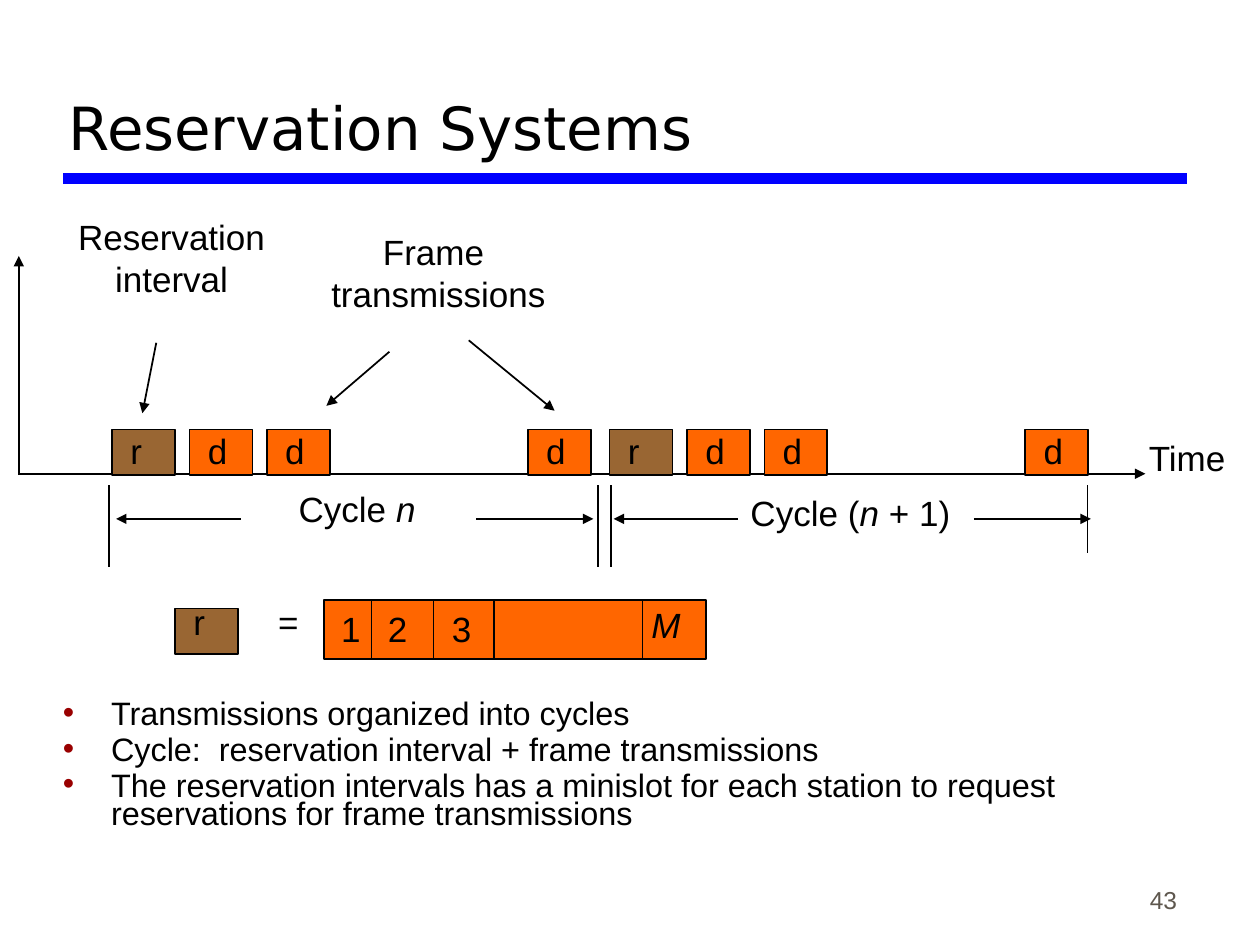
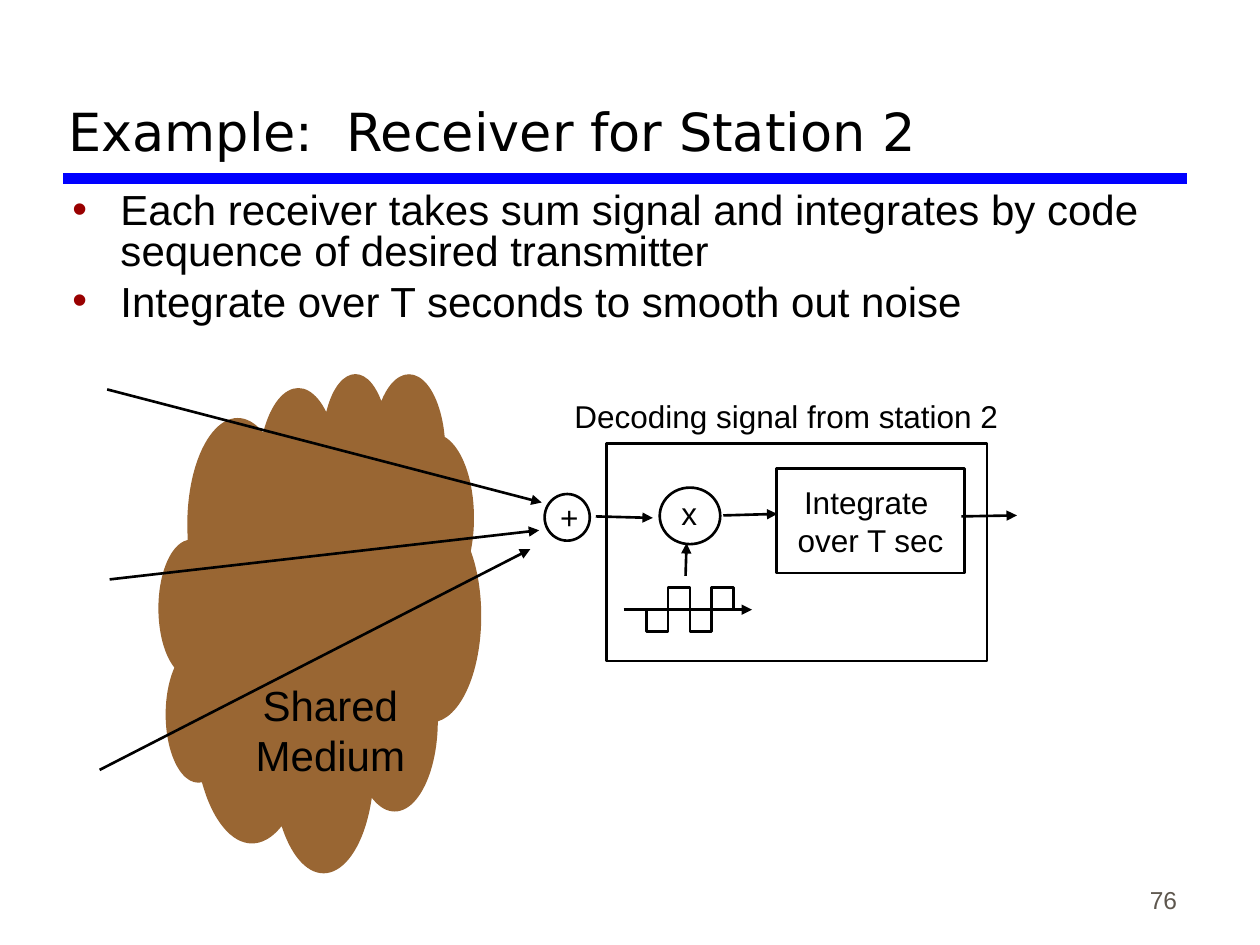
from dataclasses import dataclass

import lxml.etree
import pptx
import pptx.dml.color
import pptx.enum.shapes
import pptx.enum.text
import pptx.oxml.ns
import pptx.presentation
import pptx.slide
import pptx.text.text
import pptx.util

Cm = pptx.util.Cm
Pt = pptx.util.Pt
qn = pptx.oxml.ns.qn
Align = pptx.enum.text.PP_ALIGN
Anchor = pptx.enum.text.MSO_ANCHOR
Preset = pptx.enum.shapes.MSO_SHAPE

BLACK, WHITE, GREY = "000000", "FFFFFF", "5E574E"
BLUE, BROWN, ORANGE, BULLET_RED = "0000FF", "996633", "FF6600", "990000"
BODY_FONT, TITLE_FONT = "Arial", "DejaVu Sans"


@dataclass(frozen=True)
class Box:
    """Left, top, width and height in centimetres."""
    left: float
    top: float
    width: float
    height: float

    def lengths(self) -> tuple:
        return Cm(self.left), Cm(self.top), Cm(self.width), Cm(self.height)


@dataclass(frozen=True)
class Style:
    size: float = 20
    color: str = BLACK
    font: str = BODY_FONT
    align: Align = Align.LEFT
    anchor: Anchor = Anchor.TOP
    wrap: bool = False


@dataclass(frozen=True)
class Bullets:
    spacing: float
    before: float
    indent: float = 0.97


@dataclass(frozen=True)
class Line:
    """Start and end points in centimetres."""
    x1: float
    y1: float
    x2: float
    y2: float
    arrow: bool = True


LABEL = Style()
CENTERED = Style(align=Align.CENTER)
DIAGRAM_LABEL = Style(size=18, align=Align.CENTER)


def rgb(color: str) -> pptx.dml.color.RGBColor:
    return pptx.dml.color.RGBColor.from_string(color)


# Drawing functions

def set_bullet(paragraph: pptx.text.text._Paragraph, bullets: Bullets) -> None:
    properties = paragraph._p.get_or_add_pPr()
    properties.set("marL", str(Cm(bullets.indent)))
    properties.set("indent", str(-Cm(bullets.indent)))
    color = lxml.etree.SubElement(properties, qn("a:buClr"))
    lxml.etree.SubElement(color, qn("a:srgbClr"), val=BULLET_RED)
    lxml.etree.SubElement(properties, qn("a:buFont"), typeface=BODY_FONT)
    lxml.etree.SubElement(properties, qn("a:buChar"), char="•")
    paragraph.line_spacing = bullets.spacing


def write(frame: pptx.text.text.TextFrame, text: str, style: Style,
          bullets: Bullets | None = None) -> None:
    """Each line is a paragraph; asterisks enclose italic runs."""
    frame.word_wrap = style.wrap
    frame.vertical_anchor = style.anchor
    for number, line in enumerate(text.split("\n")):
        paragraph = frame.add_paragraph() if number else frame.paragraphs[0]
        paragraph.alignment = style.align
        if bullets:
            set_bullet(paragraph, bullets)
            if number:
                paragraph.space_before = Pt(bullets.before)
        for position, part in enumerate(line.split("*")):
            if not part:
                continue
            run = paragraph.add_run()
            run.text = part
            run.font.name = style.font
            run.font.size = Pt(style.size)
            run.font.italic = position % 2 == 1
            run.font.color.rgb = rgb(style.color)


def add_text(slide: pptx.slide.Slide, box: Box, text: str, style: Style = LABEL,
             bullets: Bullets | None = None) -> None:
    frame = slide.shapes.add_textbox(*box.lengths()).text_frame
    write(frame, text, style, bullets)
    if not style.wrap:
        frame.auto_size = pptx.enum.text.MSO_AUTO_SIZE.SHAPE_TO_FIT_TEXT


def add_shape(slide: pptx.slide.Slide, box: Box, preset: Preset = Preset.RECTANGLE,
              fill: str | None = None, outline: float = 1.5):
    shape = slide.shapes.add_shape(preset, *box.lengths())
    shape.shadow.inherit = False
    if fill:
        shape.fill.solid()
        shape.fill.fore_color.rgb = rgb(fill)
    else:
        shape.fill.background()
    if outline:
        shape.line.width = Pt(outline)
        shape.line.color.rgb = rgb(BLACK)
    else:
        shape.line.fill.background()
    return shape


def add_line(slide: pptx.slide.Slide, line: Line, width: float = 1,
             color: str = BLACK) -> None:
    connector = slide.shapes.add_connector(
        pptx.enum.shapes.MSO_CONNECTOR.STRAIGHT,
        Cm(line.x1), Cm(line.y1), Cm(line.x2), Cm(line.y2))
    connector.line.width = Pt(width)
    connector.line.color.rgb = rgb(color)
    properties = connector._element.spPr
    if line.arrow:
        lxml.etree.SubElement(properties.find(qn("a:ln")), qn("a:tailEnd"), type="triangle")
    lxml.etree.SubElement(properties, qn("a:effectLst"))


def start_slide(deck: pptx.presentation.Presentation, title: str, title_size: float,
                page: int) -> pptx.slide.Slide:
    """Blank slide with the blue rule, page number and title."""
    slide = deck.slides.add_slide(deck.slide_layouts[6])
    add_line(slide, Line(1.27, 3.6, 23.93, 3.6, arrow=False), 6, BLUE)
    add_text(slide, Box(18.7, 17.28, 5.28, 1.27), str(page),
             Style(14, GREY, align=Align.RIGHT, anchor=Anchor.BOTTOM, wrap=True))
    add_text(slide, Box(1.13, 0.42, 22.78, 2.97), title,
             Style(title_size, font=TITLE_FONT, anchor=Anchor.BOTTOM, wrap=True))
    return slide


# Slide 43: reservation systems

def add_slot(slide: pptx.slide.Slide, left: float, top: float, kind: str,
             label_rise: float = 0.13) -> None:
    fill, label_width = {"r": (BROWN, 0.74), "d": (ORANGE, 0.89)}[kind]
    add_shape(slide, Box(left, top, 1.27, 0.91), fill=fill, outline=1)
    add_text(slide, Box(left + 0.12, top - label_rise, label_width, 1.09), kind)


def build_reservation(deck: pptx.presentation.Presentation) -> None:
    slide = start_slide(deck, "Reservation Systems", 34, 43)

    # Axes
    add_line(slide, Line(0.41, 9.55, 23.09, 9.55))
    add_line(slide, Line(0.38, 9.58, 0.38, 5.16))
    add_text(slide, Box(22.91, 8.67, 2.2, 1.09), "Time")

    # Two cycles with the same slots and span arrows
    span_y = 10.46
    for cycle_start in (2.26, 12.29):
        for offset, kind in ((0, "r"), (1.56, "d"), (3.12, "d"), (8.38, "d")):
            add_slot(slide, cycle_start + offset, 8.66, kind)
        for tail, head in ((7.34, 9.7), (2.59, 0.08)):
            add_line(slide, Line(cycle_start + tail, span_y, cycle_start + head, span_y))
    add_text(slide, Box(5.77, 9.7, 3, 1.09), "Cycle *n*")
    add_text(slide, Box(14.88, 9.78, 4.8, 1.09), "Cycle (*n *+ 1)")
    for x, bottom in ((2.19, 11.43), (12.06, 11.43), (12.31, 11.43), (21.92, 11.15)):
        add_line(slide, Line(x, 9.78, x, bottom, arrow=False))

    # Callouts
    add_text(slide, Box(1.21, 4.22, 4.5, 1.93), "Reservation\ninterval", CENTERED)
    add_text(slide, Box(6.34, 4.52, 5, 1.93), "Frame \ntransmissions", CENTERED)
    for pointer in (Line(3.15, 6.91, 2.87, 8.33), Line(7.85, 7.09, 6.58, 8.18),
                    Line(9.45, 6.86, 11.18, 8.28)):
        add_line(slide, pointer)

    # Reservation interval split into minislots
    add_slot(slide, 3.53, 12.27, "r", label_rise=0.28)
    add_text(slide, Box(5.36, 11.99, 0.91, 1.09), "=")
    add_shape(slide, Box(6.53, 12.09, 7.7, 1.19), fill=ORANGE, outline=1)
    for x in (7.49, 8.74, 9.96, 12.95):
        add_line(slide, Line(x, 12.12, x, 13.28, arrow=False))
    for station, left in (("1", 6.63), ("2", 7.57), ("3", 8.86)):
        add_text(slide, Box(left, 12.13, 0.89, 1.09), station)
    add_text(slide, Box(12.88, 12.04, 1.09, 1.09), "*M*")

    add_text(slide, Box(1.02, 14.07, 23.01, 2.87),
             "Transmissions organized into cycles\n"
             "Cycle:  reservation interval + frame transmissions\n"
             "The reservation intervals has a minislot for each station to request "
             "reservations for frame transmissions",
             Style(18.5, wrap=True), Bullets(spacing=0.7, before=5))


# Slide 76: receiver for station 2

def build_receiver(deck: pptx.presentation.Presentation) -> None:
    slide = start_slide(deck, "Example:  Receiver for Station 2", 30, 76)
    add_text(slide, Box(1.21, 3.78, 22.86, 3.35),
             "Each receiver takes sum signal and integrates by code sequence "
             "of desired transmitter\n"
             "Integrate over T seconds to smooth out noise",
             Style(24, wrap=True), Bullets(spacing=0.8, before=6))

    # Shared medium
    cloud = add_shape(slide, Box(3.2, 7.51, 6.5, 10.06), Preset.CLOUD_CALLOUT, BROWN, 0)
    cloud.adjustments[0] = -0.12
    cloud.adjustments[1] = 0.05
    add_text(slide, Box(4.76, 13.57, 3.8, 2.29), "Shared\nMedium",
             Style(24, align=Align.CENTER))

    # Adder and multiplier
    add_shape(slide, Box(10.98, 9.96, 0.91, 0.94), Preset.OVAL)
    add_text(slide, Box(11.04, 9.91, 0.86, 1.02), "+", DIAGRAM_LABEL)
    add_shape(slide, Box(13.3, 9.83, 1.22, 1.14), Preset.OVAL)
    add_text(slide, Box(13.17, 9.83, 1.45, 1.02), "x",
             Style(18, align=Align.CENTER, wrap=True))

    # Code sequence: chips alternate below and above the axis
    chip, axis_y = 0.44, 12.29
    for number in range(4):
        top = axis_y - chip * (number % 2)
        add_shape(slide, Box(13.03 + chip * number, top, chip, chip))

    # Integrator
    integrator = add_shape(slide, Box(15.65, 9.44, 3.8, 2.11), fill=WHITE)
    write(integrator.text_frame, "Integrate \nover T sec",
          Style(18, align=Align.CENTER, anchor=Anchor.MIDDLE))

    # Signal flow
    for signal in (
        Line(2.16, 7.85, 10.92, 10.13),
        Line(2.21, 11.68, 10.87, 10.69),
        Line(2.01, 15.52, 10.69, 11.07),
        Line(12.01, 10.41, 13.16, 10.44),
        Line(13.82, 11.61, 13.84, 10.95),
        Line(12.57, axis_y, 15.16, axis_y),
        Line(14.58, 10.39, 15.67, 10.36),
        Line(19.38, 10.41, 20.5, 10.39),
    ):
        add_line(slide, signal, 1.5)

    # Decoder frame
    add_text(slide, Box(11.1, 7.87, 9.5, 1.02), "Decoding signal from station 2",
             DIAGRAM_LABEL)
    add_shape(slide, Box(12.23, 8.94, 7.67, 4.39))


def main() -> None:
    deck = pptx.Presentation()
    deck.slide_width, deck.slide_height = Cm(25.4), Cm(19.05)
    build_reservation(deck)
    build_receiver(deck)
    deck.save("out.pptx")


if __name__ == "__main__":
    main()
